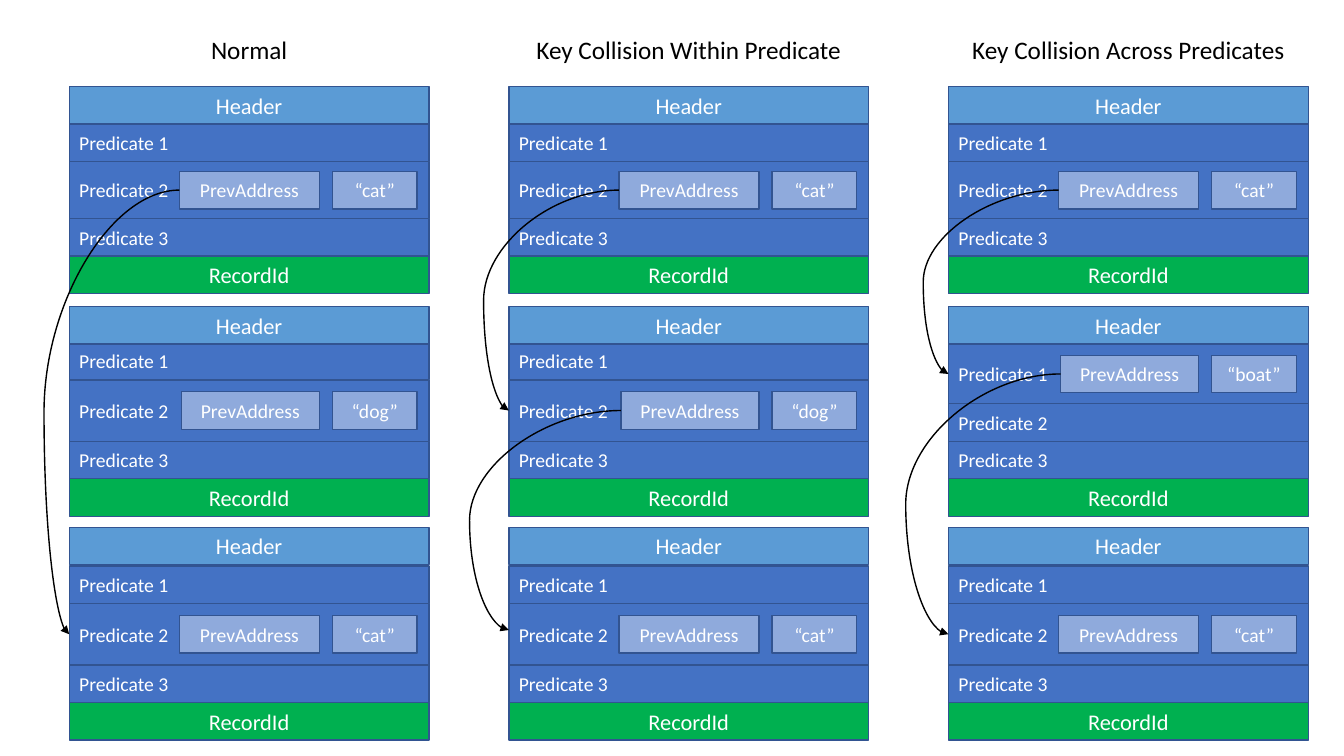
from lxml import etree
from pptx import Presentation
from pptx.dml.color import RGBColor
from pptx.enum import shapes, text
from pptx.oxml import ns
from pptx.util import Pt

BLUE = RGBColor(0x44, 0x72, 0xC4)
LIGHT_BLUE = RGBColor(0x5B, 0x9B, 0xD5)
PALE_BLUE = RGBColor(0x8F, 0xAA, 0xDC)
GREEN = RGBColor(0x00, 0xB0, 0x50)
OUTLINE = RGBColor(0x32, 0x54, 0x91)
WHITE = RGBColor(0xFF, 0xFF, 0xFF)
BLACK = RGBColor(0x00, 0x00, 0x00)

# Each record: number of its keyed predicate, and the key value.
# Each arrow: from record, to record, bulge to the left, shift of the tip.
COLUMNS = [
    ("Normal",
     [(2, "“cat”"), (2, "“dog”"), (2, "“cat”")],
     [(0, 2, 18, 0)]),
    ("Key Collision Within Predicate",
     [(2, "“cat”"), (2, "“dog”"), (2, "“cat”")],
     [(0, 1, 18, 0), (1, 2, 28, -3)]),
    ("Key Collision Across Predicates",
     [(2, "“cat”"), (1, "“boat”"), (2, "“cat”")],
     [(0, 1, 18, 0), (1, 2, 30.5, 0)]),
]
# Header top, RecordId top, keyed row height for predicate 1 or 2, address width
RECORD_BANDS = [
    (61.9, 182.9, {2: 40.6}, 100),
    (218.9, 342, {1: 42.5, 2: 43.9}, 98.6),
    (376.6, 501.8, {2: 43.9}, 100),
]
FIRST_LEFT, COLUMN_PITCH, COLUMN_WIDTH = 49.5, 314, 257
ROW_HEIGHT = 26.8
TITLE_TOP, TITLE_HEIGHT = 18.7, 33.8
ADDRESS_RIGHT = 178.7
VALUE_OFFSET, VALUE_WIDTH = 188, 60.5


def write(box, words, size=14, color=WHITE, align=text.PP_ALIGN.CENTER):
    frame = box.text_frame
    frame.word_wrap = True
    frame.vertical_anchor = text.MSO_ANCHOR.MIDDLE
    para = frame.paragraphs[0]
    para.alignment = align
    span = para.add_run()
    span.text = words
    span.font.name = "Calibri"
    span.font.size = Pt(size)
    span.font.color.rgb = color


def add_bar(page, words, left, top, width, fill, height=ROW_HEIGHT, **style):
    bar = page.shapes.add_shape(shapes.MSO_SHAPE.RECTANGLE,
                                Pt(left), Pt(top), Pt(width), Pt(height))
    bar.shadow.inherit = False
    bar.fill.solid()
    bar.fill.fore_color.rgb = fill
    bar.line.color.rgb = OUTLINE
    bar.line.width = Pt(1)
    write(bar, words, **style)


def add_record(page, left, band, keyed, value):
    """Stack the rows upward from RecordId; return the address left and key row middle."""
    header_top, id_top, keyed_heights, address_width = band
    address_left = left + ADDRESS_RIGHT - address_width
    row_top = id_top
    for number in (3, 2, 1):
        height = keyed_heights[keyed] if number == keyed else ROW_HEIGHT
        row_top -= height
        add_bar(page, f"Predicate {number}", left, row_top, COLUMN_WIDTH, BLUE,
                height, align=text.PP_ALIGN.LEFT)
        if number == keyed:
            middle = row_top + height / 2
            chip_top = middle - ROW_HEIGHT / 2
            add_bar(page, "PrevAddress", address_left, chip_top, address_width, PALE_BLUE)
            add_bar(page, value, left + VALUE_OFFSET, chip_top, VALUE_WIDTH, PALE_BLUE)
    add_bar(page, "Header", left, header_top, COLUMN_WIDTH, LIGHT_BLUE, size=16)
    add_bar(page, "RecordId", left, id_top, COLUMN_WIDTH, GREEN, size=16)
    return address_left, middle


def add_curved_arrow(page, start, end, bulge):
    curve = page.shapes.add_connector(
        shapes.MSO_CONNECTOR.CURVE, *(Pt(value) for value in (*start, *end)))
    curve.line.color.rgb = BLACK
    curve.line.width = Pt(1)
    properties = curve._element.spPr
    span = start[0] - end[0]
    guides = properties.find(ns.qn("a:prstGeom")).get_or_add_avLst()
    etree.SubElement(guides, ns.qn("a:gd"), name="adj1",
                     fmla=f"val {round((span + bulge) / span * 100000)}")
    etree.SubElement(properties.find(ns.qn("a:ln")), ns.qn("a:tailEnd"), type="triangle")
    etree.SubElement(properties, ns.qn("a:effectLst"))


def main():
    deck = Presentation()
    deck.slide_width, deck.slide_height = Pt(960), Pt(540)
    page = deck.slides.add_slide(deck.slide_layouts[6])
    for index, (title, records, arrows) in enumerate(COLUMNS):
        left = FIRST_LEFT + index * COLUMN_PITCH
        box = page.shapes.add_textbox(Pt(left), Pt(TITLE_TOP),
                                      Pt(COLUMN_WIDTH), Pt(TITLE_HEIGHT))
        write(box, title, size=18, color=BLACK)
        anchors = [add_record(page, left, band, *record)
                   for band, record in zip(RECORD_BANDS, records)]
        for source, target, bulge, shift in arrows:
            tip = (left, anchors[target][1] + shift)
            add_curved_arrow(page, anchors[source], tip, bulge)
    deck.save("out.pptx")


if __name__ == "__main__":
    main()
